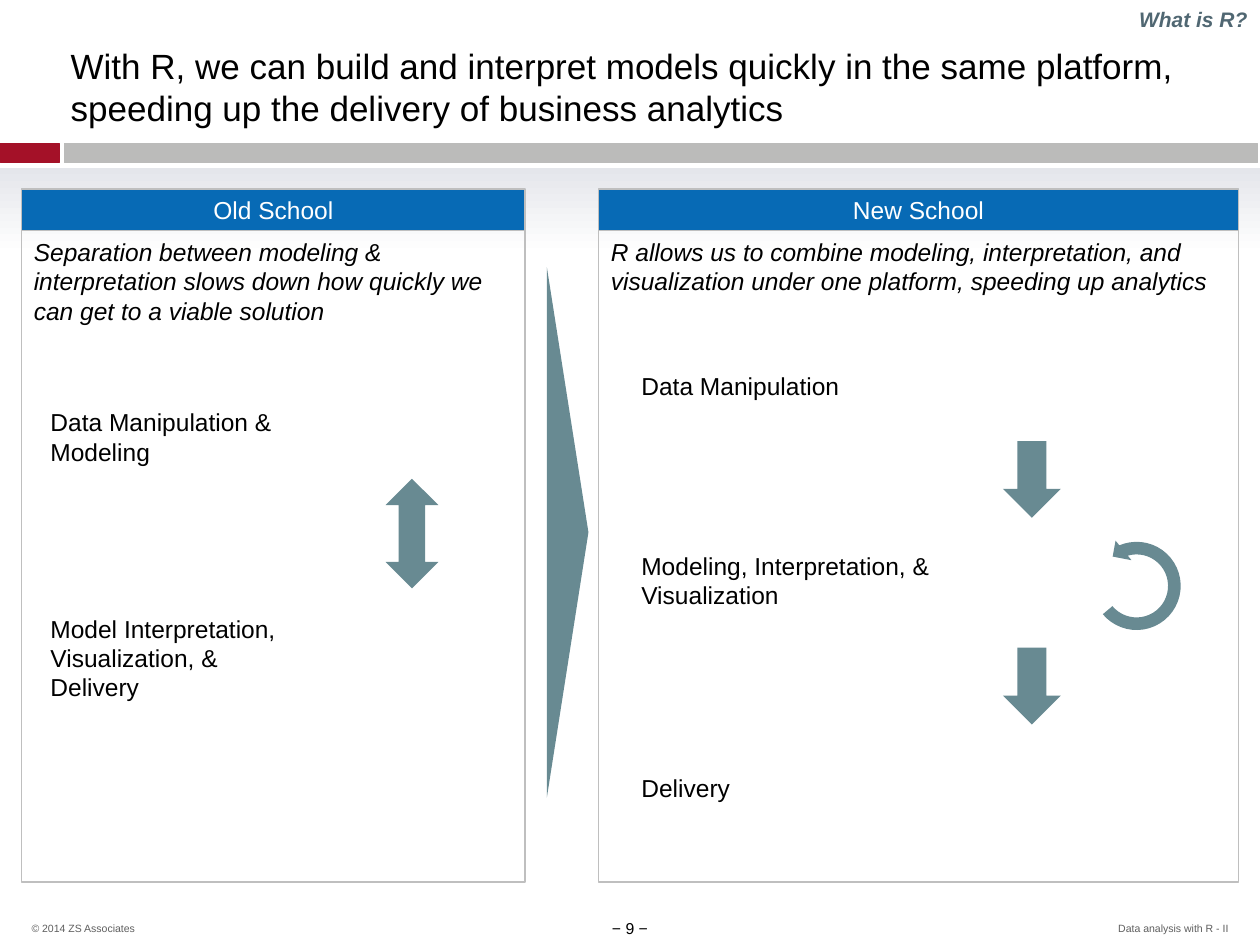
"""Build a slide that contrasts old and new modeling workflows."""
from dataclasses import dataclass

import pptx
import pptx.dml.color
import pptx.enum.shapes
import pptx.enum.text
import pptx.util

Inches = pptx.util.Inches
Shape = pptx.enum.shapes.MSO_SHAPE
Align = pptx.enum.text.PP_ALIGN
Anchor = pptx.enum.text.MSO_ANCHOR


@dataclass(frozen=True)
class Theme:
    """Colours, type sizes and margins of the slide."""
    font: str = "Arial"
    black: str = "000000"
    white: str = "FFFFFF"
    red: str = "A41128"
    gray: str = "BBBBBA"
    mist: str = "E4E6EB"
    blue: str = "076AB5"
    border: str = "BFBFBF"
    teal: str = "688A92"
    slate: str = "506772"
    footer: str = "5F5F5F"
    title_size: int = 20
    body_size: int = 14
    tag_size: int = 12
    number_size: int = 9
    footer_size: int = 6
    label_margins: tuple = (0.09, 0.04)
    panel_margins: tuple = (0.1, 0.05)


THEME = Theme()


def color(value):
    """Return an RGB colour from its hex code."""
    return pptx.dml.color.RGBColor.from_string(value)


def write(box, text, margins=THEME.label_margins, anchor=Anchor.MIDDLE,
          align=Align.LEFT, spacing=1.0, ink=THEME.black, **font):
    """Put one formatted paragraph into a box."""
    frame = box.text_frame
    side, edge = (Inches(margin) for margin in margins)
    frame_format = {"word_wrap": True, "vertical_anchor": anchor,
                    "auto_size": pptx.enum.text.MSO_AUTO_SIZE.NONE,
                    "margin_left": side, "margin_right": side,
                    "margin_top": edge, "margin_bottom": edge}
    for name, value in frame_format.items():
        setattr(frame, name, value)
    para = frame.paragraphs[0]
    para.alignment = align
    para.line_spacing = spacing
    span = para.add_run()
    span.text = text
    span.font.color.rgb = color(ink)
    font_format = {"name": THEME.font, "size": THEME.body_size, **font}
    font_format["size"] = pptx.util.Pt(font_format["size"])
    for name, value in font_format.items():
        setattr(span.font, name, value)


def add_label(page, place, text, **style):
    """Add a text box."""
    box = page.shapes.add_textbox(*map(Inches, place))
    write(box, text, **style)


def add_figure(page, kind, place, fill=None, line=None, weight=1.0):
    """Add a preset shape with an optional fill and line."""
    shape = page.shapes.add_shape(kind, *map(Inches, place))
    shape.shadow.inherit = False
    if fill:
        shape.fill.solid()
        shape.fill.fore_color.rgb = color(fill)
    else:
        shape.fill.background()
    if line:
        shape.line.color.rgb = color(line)
        shape.line.width = pptx.util.Pt(weight)
    else:
        shape.line.fill.background()
    return shape


def add_band(page):
    """Add the divider bars and the fading band below them."""
    for left, width, fill in ((0, 0.47, THEME.red), (0.51, 9.47, THEME.gray)):
        add_figure(page, Shape.RECTANGLE, (left, 1.14, width, 0.15), fill, fill, 0.25)
    band = add_figure(page, Shape.RECTANGLE, (0, 1.33, 10, 0.69))
    band.fill.gradient()
    band.fill.gradient_angle = 270
    for stop, position, shade in zip(band.fill.gradient_stops, (0, 1),
                                     (THEME.mist, THEME.white)):
        stop.position = position
        stop.color.rgb = color(shade)


def add_panel(page, left, width, heading, summary):
    """Add a framed panel with a heading bar and a summary."""
    top, bar, height = 1.5, 0.33, 5.17
    header = add_figure(page, Shape.RECTANGLE, (left, top, width, bar),
                        THEME.blue, THEME.border)
    write(header, heading, THEME.panel_margins, align=Align.CENTER, ink=THEME.white)
    body = add_figure(page, Shape.RECTANGLE, (left, top + bar, width, height),
                      line=THEME.border)
    write(body, summary, THEME.panel_margins, Anchor.TOP, italic=True)


def add_loop(page):
    """Add the circular arrow for repeated modeling."""
    loop = add_figure(page, Shape.CIRCULAR_ARROW, (8.62, 4.25, 0.8, 0.8), THEME.teal)
    loop.rotation = 230.8
    for index, value in enumerate((0.125, 11.42, 204.58, 54.47, 0.125)):
        loop.adjustments[index] = value
    loop._element.spPr.get_or_add_xfrm().set("flipV", "1")


def add_title(page, text):
    """Move and fill the title placeholder."""
    title = page.shapes.title
    place = {"left": 0.47, "top": 0.31, "width": 9.05, "height": 0.75}
    for name, value in place.items():
        setattr(title, name, Inches(value))
    write(title, text, size=THEME.title_size)


def add_footer(page):
    """Add the copyright line, page number and deck name."""
    small = {"margins": (0, 0), "anchor": Anchor.BOTTOM, "spacing": 0.8,
             "ink": THEME.footer, "size": THEME.footer_size}
    add_label(page, (7.37, 7.28, 2.38, 0.14), "Data analysis with R - II",
              align=Align.RIGHT, **small)
    add_label(page, (0.25, 7.28, 2.38, 0.14), "© 2014 ZS Associates", **small)
    add_label(page, (4.5, 7.29, 1, 0.15), "− 9 −", margins=(0.1, 0),
              anchor=Anchor.TOP, align=Align.CENTER, size=THEME.number_size)


def main():
    """Build and save the slide."""
    deck = pptx.Presentation()
    deck.slide_width, deck.slide_height = Inches(10), Inches(7.5)
    page = deck.slides.add_slide(deck.slide_layouts[5])
    add_band(page)
    add_footer(page)
    add_title(page, "With R, we can build and interpret models quickly in the same "
                    "platform, speeding up the delivery of business analytics")
    add_panel(page, 0.17, 4, "Old School",
              "Separation between modeling & interpretation slows down "
              "how quickly we can get to a viable solution")
    add_panel(page, 4.75, 5.08, "New School",
              "R allows us to combine modeling, interpretation, and "
              "visualization under one platform, speeding up analytics")
    steps = (
        ((0.31, 3.19, 2.15, 0.55), "Data Manipulation & Modeling"),
        ((0.31, 4.83, 2.15, 0.78), "Model Interpretation, Visualization, & Delivery"),
        ((5, 2.91, 2.15, 0.31), "Data Manipulation"),
        ((5, 4.33, 2.77, 0.55), "Modeling, Interpretation, & Visualization"),
        ((5, 6.1, 2.15, 0.31), "Delivery"),
    )
    for place, text in steps:
        add_label(page, place, text)
    add_figure(page, Shape.UP_DOWN_ARROW, (3.06, 3.8, 0.42, 0.87), THEME.teal)
    for top in (3.5, 5.14):
        add_figure(page, Shape.DOWN_ARROW, (7.96, top, 0.46, 0.61), THEME.teal)
    add_loop(page)
    wedge = add_figure(page, Shape.ISOSCELES_TRIANGLE, (2.4, 4.06, 4.21, 0.33), THEME.teal)
    wedge.rotation = 90
    add_label(page, (7.75, 0, 2.25, 0.3), "What is R?", margins=THEME.panel_margins,
              anchor=Anchor.BOTTOM, align=Align.RIGHT, ink=THEME.slate,
              size=THEME.tag_size, bold=True, italic=True)
    deck.save("out.pptx")


if __name__ == "__main__":
    main()
